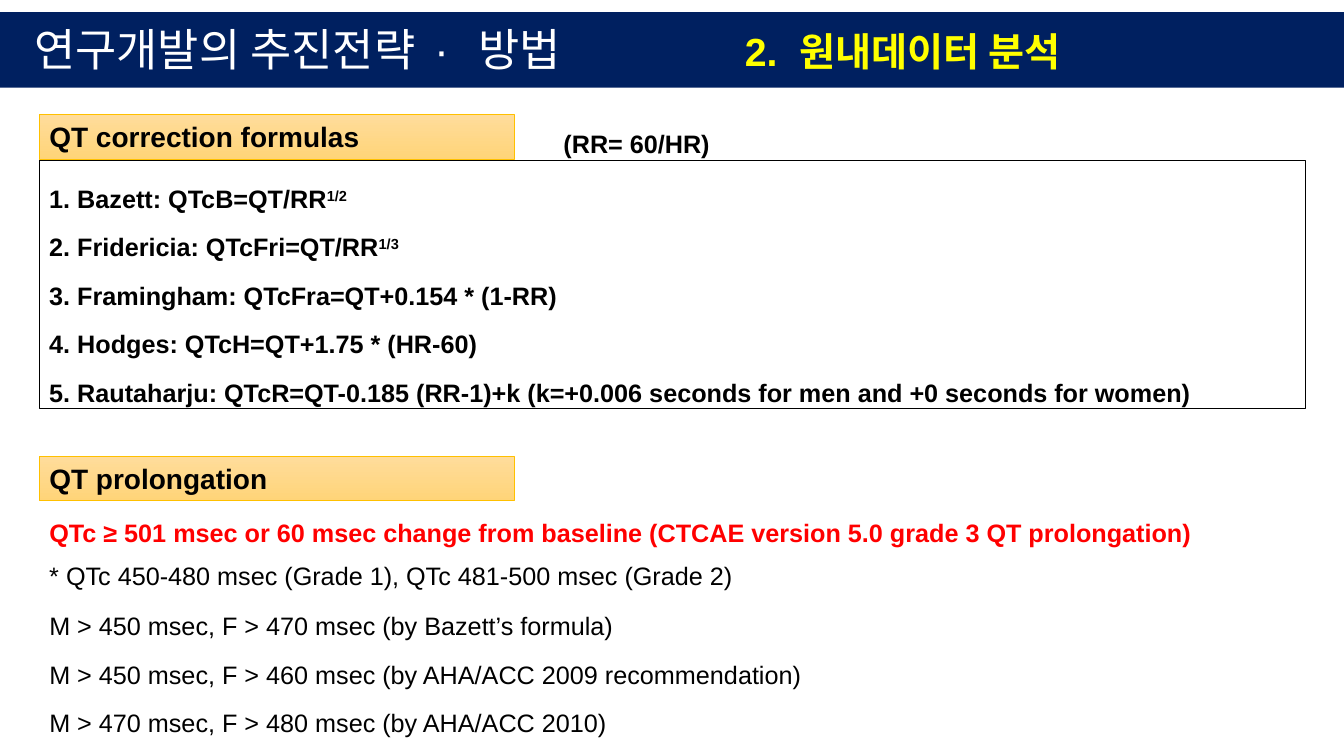
from pptx import Presentation
from pptx.dml.color import RGBColor
from pptx.enum.shapes import MSO_SHAPE as Preset
from pptx.enum.text import MSO_ANCHOR as Anchor, PP_ALIGN as Align
from pptx.util import Pt

EMU_PER_PX = 9144
NAVY = RGBColor(0x00, 0x20, 0x60)
BLACK = RGBColor(0x00, 0x00, 0x00)
WHITE = RGBColor(0xFF, 0xFF, 0xFF)
RED = RGBColor(0xFF, 0x00, 0x00)
YELLOW = RGBColor(0xFF, 0xFF, 0x00)
GOLD = RGBColor(0xFF, 0xC0, 0x00)
PALE_ORANGE = RGBColor(0xFF, 0xDC, 0x9B)
ORANGE = RGBColor(0xFF, 0xD4, 0x78)


class SlideBuilder:
    """Draws styled elements on one slide, with lengths in px."""

    def __init__(self, slide, font="Arial"):
        self.slide = slide
        self.font = font

    def box(self, *bounds, fill=None, line=None):
        rect = self.slide.shapes.add_shape(
            Preset.RECTANGLE, *(length * EMU_PER_PX for length in bounds))
        rect.shadow.inherit = False
        if fill is None:
            rect.fill.background()
        else:
            rect.fill.solid()
            rect.fill.fore_color.rgb = fill
        if line is None:
            rect.line.fill.background()
        else:
            rect.line.color.rgb = line
            rect.line.width = Pt(0.75)
        return rect

    def put_lines(self, shape, lines, size=18, color=BLACK, bold=False,
                  align=Align.LEFT, spacing=None, before=0):
        frame = shape.text_frame
        frame.word_wrap = True
        frame.vertical_anchor = Anchor.TOP
        for index, pieces in enumerate(lines):
            paragraph = frame.paragraphs[0] if index == 0 else frame.add_paragraph()
            paragraph.alignment = align
            if spacing:
                paragraph.line_spacing = spacing
            if before and index:
                paragraph.space_before = Pt(before)
            for words, extra in pieces:
                run = paragraph.add_run()
                run.text = words
                run.font.name = self.font
                run.font.size = Pt(size)
                run.font.bold = bold
                run.font.color.rgb = color
                for key, value in extra.items():
                    run.font._element.set(key, str(value))

    def text(self, bounds, *lines, **style):
        label = self.slide.shapes.add_textbox(
            *(length * EMU_PER_PX for length in bounds))
        self.put_lines(label, lines, **style)

    def heading(self, top, title):
        tag = self.box(39, top, 471, 44, line=GOLD)
        tag.fill.gradient()
        tag.fill.gradient_angle = 270
        for stop, color, position in zip(
                tag.fill.gradient_stops, (PALE_ORANGE, ORANGE), (0, 1)):
            stop.color.rgb = color
            stop.position = position
        self.put_lines(tag, [plain(title)], size=20, bold=True)


def plain(words):
    """Return a line made of a single unmodified run."""
    return [(words, {})]


def main():
    """Build and save the QT slide."""
    deck = Presentation()
    deck.slide_width = 1333 * EMU_PER_PX
    deck.slide_height = 750 * EMU_PER_PX
    page = SlideBuilder(deck.slides.add_slide(deck.slide_layouts[6]))
    raised = {"baseline": 30000}
    justified = {"align": Align.JUSTIFY, "spacing": 1.15}

    page.box(0, 12, 1333, 75, fill=NAVY)
    page.text((24, 17, 618, 64),
              [("연구개발의 추진전략", {}), (" · ", {"spc": 600}), ("방법", {})],
              size=32, color=WHITE)
    page.text((729, 22, 346, 57),
              [("2.", {}), (" ", {"spc": 800}), ("원내데이터 분석", {})],
              size=28, color=YELLOW, bold=True)

    formulas = page.box(39, 159, 1256, 246, line=BLACK)
    page.put_lines(formulas, [
        [("1. Bazett: QTcB=QT/RR", {}), ("1/2", raised)],
        [("2. Fridericia: QTcFri=QT/RR", {}), ("1/3", raised)],
        plain("3. Framingham: QTcFra=QT+0.154 * (1-RR)"),
        plain("4. Hodges: QTcH=QT+1.75 * (HR-60)"),
        plain("5. Rautaharju: QTcR=QT-0.185 (RR-1)+k "
              "(k=+0.006 seconds for men and +0 seconds for women)"),
    ], bold=True, align=Align.JUSTIFY, spacing=1.6)
    page.heading(114, "QT correction formulas")
    page.text((549, 122, 167, 40), plain("(RR= 60/HR)"), bold=True)

    page.heading(453, "QT prolongation")
    page.text((39, 504, 1185, 42),
              plain("QTc ≥ 501 msec or 60 msec change from baseline "
                    "(CTCAE version 5.0 grade 3 QT prolongation)"),
              color=RED, bold=True, **justified)
    page.text((39, 546, 906, 42),
              plain("* QTc 450-480 msec (Grade 1), QTc 481-500 msec (Grade 2)"),
              **justified)
    page.text((39, 596, 861, 139),
              plain("M > 450 msec, F > 470 msec (by Bazett’s formula)"),
              plain("M > 450 msec, F > 460 msec (by AHA/ACC 2009 recommendation)"),
              plain("M > 470 msec, F > 480 msec (by AHA/ACC 2010)"),
              before=10, **justified)

    deck.save("out.pptx")


if __name__ == "__main__":
    main()
